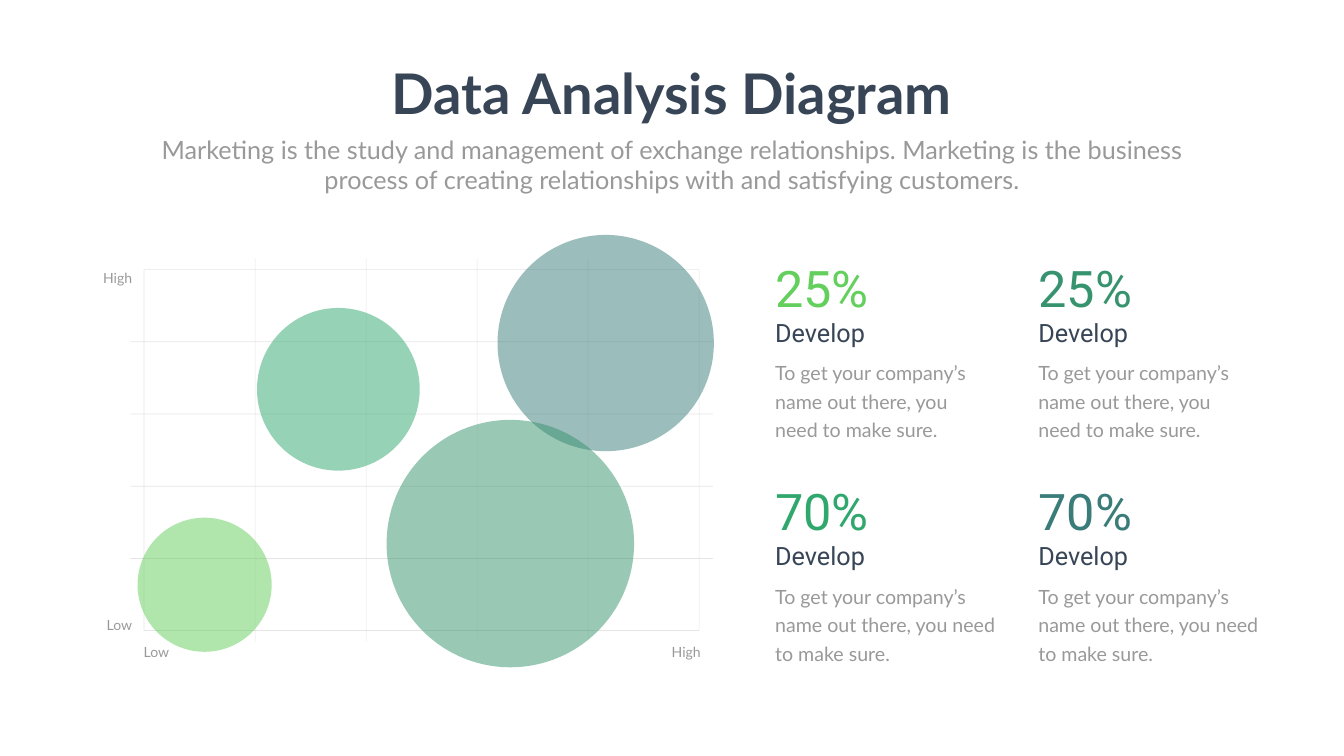
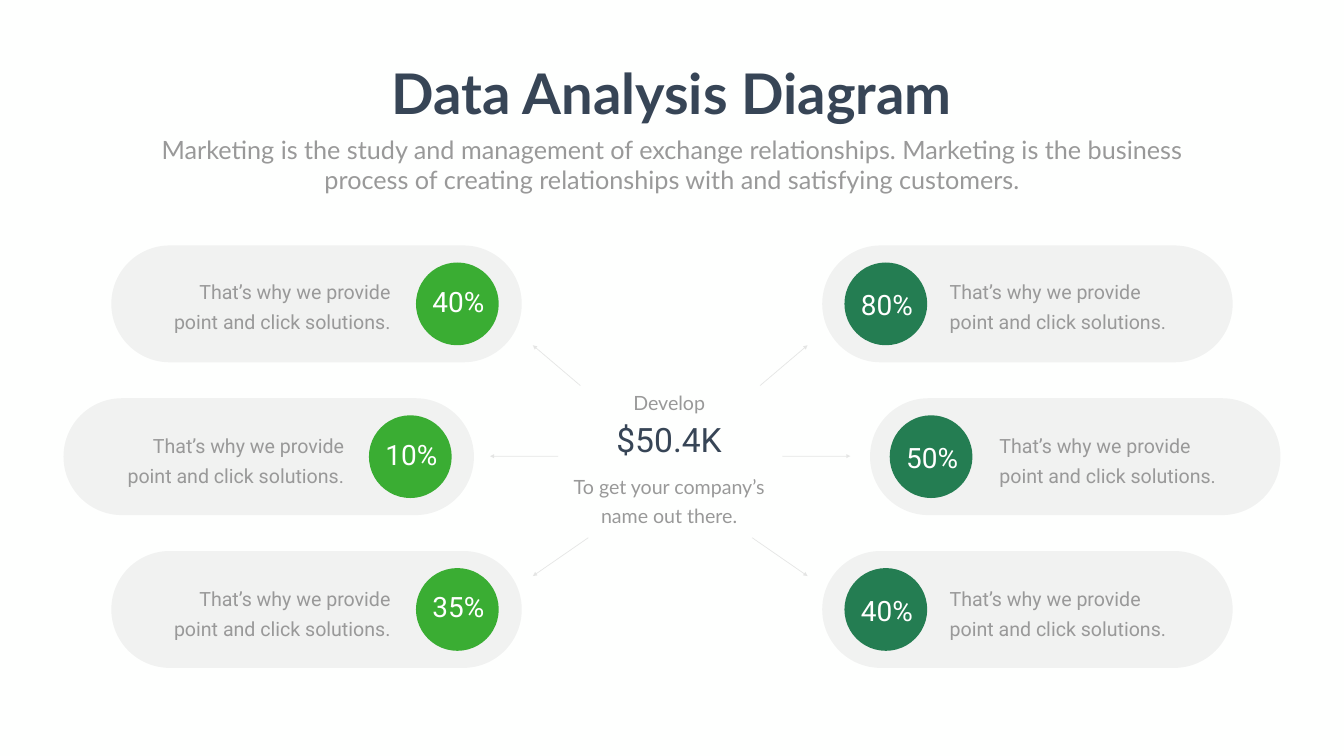
from dataclasses import dataclass

from lxml import etree
from pptx import Presentation
from pptx.dml.color import RGBColor
from pptx.enum.shapes import MSO_CONNECTOR, MSO_SHAPE
from pptx.enum.text import MSO_ANCHOR, MSO_AUTO_SIZE, PP_ALIGN
from pptx.oxml.ns import qn
from pptx.util import Cm, Pt

LEFT, CENTER, RIGHT = PP_ALIGN.LEFT, PP_ALIGN.CENTER, PP_ALIGN.RIGHT
OVAL, RECTANGLE = MSO_SHAPE.OVAL, MSO_SHAPE.RECTANGLE
PILL = MSO_SHAPE.ROUNDED_RECTANGLE
STRAIGHT = MSO_CONNECTOR.STRAIGHT
TOP = MSO_ANCHOR.TOP
GROW = MSO_AUTO_SIZE.SHAPE_TO_FIT_TEXT

COLORS = {
    "background": "FEFFFE",
    "ink": "374556",
    "muted": "999999",
    "rule": "808080",
    "white": "FFFFFF",
    "lime": "63CF5C",
    "green": "30A76D",
    "forest": "36936E",
    "teal": "3A7C79",
    "leaf": "3AAD33",
    "pine": "247D52",
}

# All lengths below are centimetres
SLIDE_W, SLIDE_H = 67.72, 38.1
TITLE = "Data Analysis Diagram"
SUBTITLE = (
    "Marketing is the study and management of exchange relationships. "
    "Marketing is the business process of creating relationships with "
    "and satisfying customers."
)


@dataclass(frozen=True)
class Box:
    left: float
    top: float
    width: float
    height: float

    def lengths(self) -> tuple:
        return Cm(self.left), Cm(self.top), Cm(self.width), Cm(self.height)


@dataclass(frozen=True)
class Style:
    font: str
    size: float
    color: str
    align: int = LEFT
    bold: bool = False
    leading: float | None = None


@dataclass(frozen=True)
class Bubble:
    left: float
    top: float
    diameter: float
    color: str


@dataclass(frozen=True)
class Stat:
    column: int
    row: int
    value: str
    color: str


@dataclass(frozen=True)
class Side:
    """Badge and caption places, one entry per row."""
    pill_lefts: tuple
    badge_lefts: tuple
    caption_lefts: tuple
    shares: tuple
    share_drop: float
    color: str
    align: int


# Shared drawing functions
def rgb(name: str) -> RGBColor:
    return RGBColor.from_string(COLORS[name])


def set_opacity(shape, percent: int) -> None:
    for color in shape._element.spPr.iter(qn("a:srgbClr")):
        etree.SubElement(color, qn("a:alpha"), val=str(percent * 1000))


def write(frame, text: str, style: Style) -> None:
    frame.text = text
    frame.auto_size = GROW
    frame.vertical_anchor = TOP
    paragraph = frame.paragraphs[0]
    paragraph.alignment = style.align
    if style.leading:
        paragraph.line_spacing = Pt(style.leading)
    for run in paragraph.runs:
        run.font.name = style.font
        run.font.size = Pt(style.size)
        run.font.bold = style.bold
        run.font.color.rgb = rgb(style.color)


def add_text(slide, box: Box, text: str, style: Style, inset: bool = True) -> None:
    frame = slide.shapes.add_textbox(*box.lengths()).text_frame
    frame.word_wrap = True
    if not inset:
        frame.margin_left = frame.margin_right = Cm(0)
        frame.margin_top = frame.margin_bottom = Cm(0)
    write(frame, text, style)


def add_filled(slide, kind: int, box: Box, color: str, opacity: int = 100):
    shape = slide.shapes.add_shape(kind, *box.lengths())
    shape.shadow.inherit = False
    shape.fill.solid()
    shape.fill.fore_color.rgb = rgb(color)
    shape.line.fill.background()
    if opacity < 100:
        set_opacity(shape, opacity)
    return shape


def style_rule(shape) -> None:
    shape.line.color.rgb = rgb("rule")
    shape.line.width = Pt(1)
    set_opacity(shape, 20)


def add_rule(slide, x1: float, y1: float, x2: float, y2: float,
             arrow: bool = False) -> None:
    rule = slide.shapes.add_connector(STRAIGHT, Cm(x1), Cm(y1), Cm(x2), Cm(y2))
    style_rule(rule)
    properties = rule._element.spPr
    if arrow:
        etree.SubElement(properties.find(qn("a:ln")), qn("a:headEnd"),
                         type="triangle")
    etree.SubElement(properties, qn("a:effectLst"))


def place(placeholder, box: Box) -> None:
    (placeholder.left, placeholder.top,
     placeholder.width, placeholder.height) = box.lengths()


def add_slide(prs):
    """Add a slide with the shared heading."""
    slide = prs.slides.add_slide(prs.slide_layouts[1])
    title, subtitle = slide.shapes.title, slide.placeholders[1]
    place(title, Box(19.13, 2.84, 29.44, 3.68))
    title.text_frame.word_wrap = False
    write(title.text_frame, TITLE, Style("Lato", 80, "ink", CENTER, bold=True))

    place(subtitle, Box(7.42, 6.63, 52.88, 3.33))
    subtitle.text_frame.word_wrap = True
    write(subtitle.text_frame, SUBTITLE, Style("Lato", 36, "muted", CENTER))
    paragraph = subtitle.text_frame.paragraphs[0]
    paragraph.space_before = Pt(0)
    properties = paragraph._p.get_or_add_pPr()
    properties.set("marL", "0")
    properties.set("indent", "0")
    etree.SubElement(properties, qn("a:buNone"))
    return slide


# Slide 1: bubble plot with four figures
PLOT = Box(7.26, 13.59, 27.97, 18.19)
DIVISIONS = 5
OVERHANG_X, OVERHANG_Y = 0.69, 0.57
BUBBLES = (
    Bubble(25.07, 11.84, 10.9, "teal"),
    Bubble(12.95, 15.52, 8.2, "green"),
    Bubble(6.93, 26.09, 6.76, "lime"),
    Bubble(19.48, 21.16, 12.47, "forest"),
)
AXIS_LABELS = (
    ("Low", 7.24, 32.41, LEFT),
    ("High", 29.62, 32.41, RIGHT),
    ("High", 0.97, 13.59, RIGHT),
    ("Low", 0.97, 31.06, RIGHT),
)
STATS = (
    Stat(0, 0, "25%", "lime"),
    Stat(0, 1, "70%", "green"),
    Stat(1, 0, "25%", "forest"),
    Stat(1, 1, "70%", "teal"),
)
STAT_TEXT = "To get your company’s name out there, you need to make sure."
STAT_TEXT_WIDTHS = (11.56, 12.47)


def draw_grid(slide) -> None:
    frame = slide.shapes.add_shape(RECTANGLE, *PLOT.lengths())
    frame.shadow.inherit = False
    frame.fill.background()
    style_rule(frame)
    right, bottom = PLOT.left + PLOT.width, PLOT.top + PLOT.height
    for step in range(1, DIVISIONS):
        x = PLOT.left + step * PLOT.width / DIVISIONS
        y = PLOT.top + step * PLOT.height / DIVISIONS
        add_rule(slide, x, PLOT.top - OVERHANG_Y, x, bottom + OVERHANG_Y)
        add_rule(slide, PLOT.left - OVERHANG_X, y, right + OVERHANG_X, y)


def draw_stat(slide, stat: Stat) -> None:
    left = 38.81 + 13.26 * stat.column
    top = 12.83 + 11.25 * stat.row
    add_text(slide, Box(left, top + 5, STAT_TEXT_WIDTHS[stat.row], 4.5),
             STAT_TEXT, Style("Lato", 28, "muted", leading=40.8))
    add_text(slide, Box(left, top + 3.02, 14.53, 1.8), "Develop",
             Style("Roboto", 36, "ink"))
    add_text(slide, Box(left, top, 6.38, 3.33), stat.value,
             Style("Roboto", 72, stat.color))


def build_bubble_slide(prs) -> None:
    slide = add_slide(prs)
    draw_grid(slide)
    for bubble in BUBBLES:
        area = Box(bubble.left, bubble.top, bubble.diameter, bubble.diameter)
        add_filled(slide, OVAL, area, bubble.color, 50)
    for label, left, top, align in AXIS_LABELS:
        add_text(slide, Box(left, top, 5.69, 0.86), label,
                 Style("Lato", 20, "muted", align), inset=False)
    for stat in STATS:
        draw_stat(slide, stat)


# Slide 2: six shares around a central amount
ROW_TOP, ROW_STEP = 12.37, 7.7
PILL_W, PILL_H, BADGE = 20.68, 5.89, 4.17
CAPTION = "That’s why we provide point and click solutions."
CAPTION_DROPS = (1.27, 1.35, 1.35)
PILL_LEFTS = (5.61, 3.2, 5.61)
SIDES = (
    Side(PILL_LEFTS, (20.96, 18.59, 20.96), (7.42, 5.08, 7.42),
         ("40%", "10%", "35%"), 0.97, "leaf", RIGHT),
    Side(tuple(SLIDE_W - left - PILL_W for left in PILL_LEFTS),
         (42.55, 44.83, 42.55), (47.6, 50.11, 47.6),
         ("80%", "50%", "40%"), 1.14, "pine", LEFT),
)
# Arrow tip first, then its end near the centre
LEFT_ARROWS = (
    (26.85, 17.4, 29.24, 19.43),
    (24.69, 22.99, 28.12, 22.99),
    (26.85, 29.03, 29.64, 27.1),
)
MIRROR = 67.54
CENTRE_TEXTS = (
    (Box(30.86, 19.33, 5.72, 1.6), "Develop",
     Style("Lato", 28, "muted", CENTER, leading=40.8)),
    (Box(29.97, 20.98, 7.49, 2.31), "$50.4K",
     Style("Roboto", 48, "ink", CENTER)),
    (Box(28.42, 23.57, 10.59, 3.1), "To get your company’s name out there.",
     Style("Lato", 28, "muted", CENTER, leading=40.8)),
)


def draw_share(slide, side: Side, row: int) -> None:
    top = ROW_TOP + row * ROW_STEP
    badge_left, badge_top = side.badge_lefts[row], top + 0.86
    pill = add_filled(slide, PILL, Box(side.pill_lefts[row], top, PILL_W, PILL_H),
                      "rule", 10)
    pill.adjustments[0] = 0.5
    add_filled(slide, OVAL, Box(badge_left, badge_top, BADGE, BADGE), side.color)
    add_text(slide, Box(badge_left + 0.05, badge_top + side.share_drop, BADGE, 1.96),
             side.shares[row], Style("Roboto", 40, "white", CENTER))
    add_text(slide, Box(side.caption_lefts[row], top + CAPTION_DROPS[row], 12.5, 3.18),
             CAPTION, Style("Roboto", 28, "muted", side.align, leading=43))


def build_share_slide(prs) -> None:
    slide = add_slide(prs)
    for side in SIDES:
        for row in range(len(side.shares)):
            draw_share(slide, side, row)
    for x1, y1, x2, y2 in LEFT_ARROWS:
        add_rule(slide, x1, y1, x2, y2, arrow=True)
        add_rule(slide, MIRROR - x1, y1, MIRROR - x2, y2, arrow=True)
    for box, text, style in CENTRE_TEXTS:
        add_text(slide, box, text, style)


def main() -> None:
    prs = Presentation()
    prs.slide_width, prs.slide_height = Cm(SLIDE_W), Cm(SLIDE_H)
    backdrop = prs.slide_master.background.fill
    backdrop.solid()
    backdrop.fore_color.rgb = rgb("background")
    build_bubble_slide(prs)
    build_share_slide(prs)
    prs.save("out.pptx")


if __name__ == "__main__":
    main()
